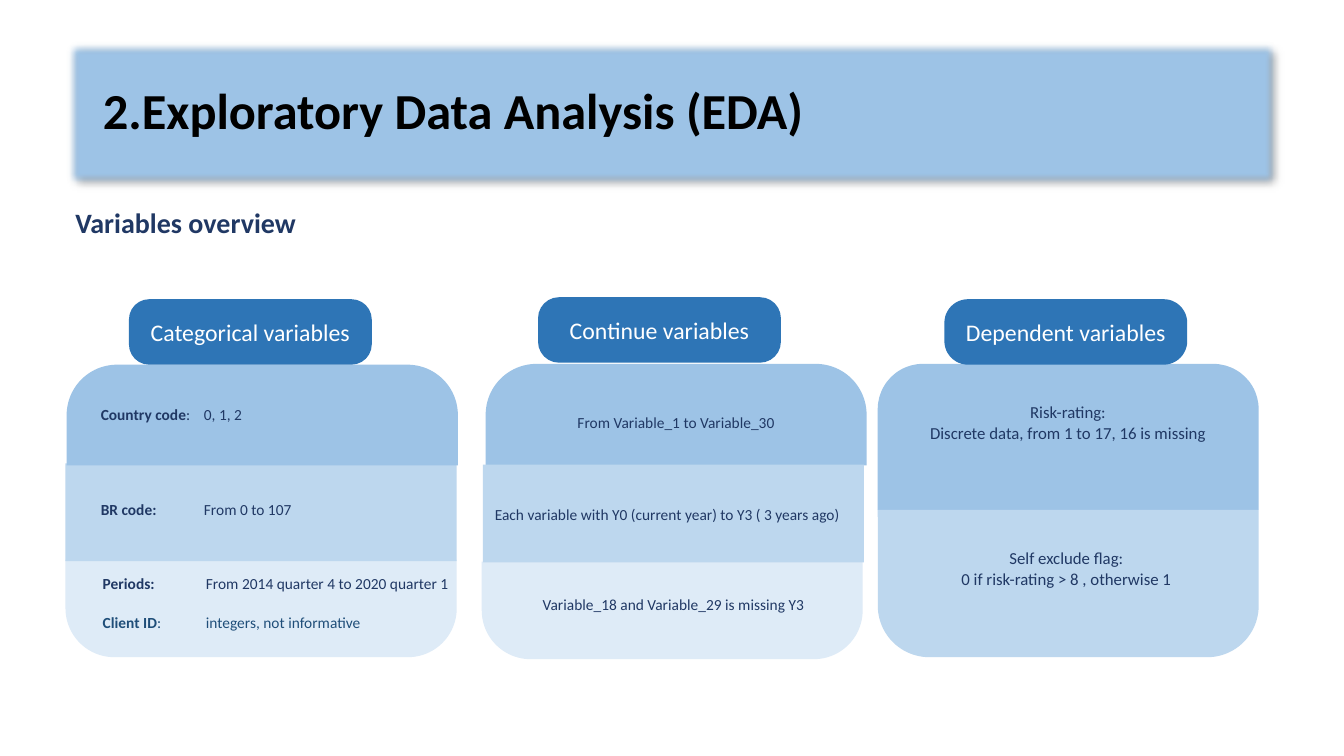
from lxml import etree
from pptx import Presentation
from pptx.dml.color import RGBColor
from pptx.enum.shapes import MSO_SHAPE
from pptx.enum.text import MSO_ANCHOR, MSO_AUTO_SIZE, PP_ALIGN
from pptx.oxml import parse_xml
from pptx.util import Cm, Pt

COLORS = {"dark": "2E75B6", "strong": "9DC3E6", "medium": "BDD7EE", "light": "DEEBF7",
          "navy": "203864", "teal": "1F4E79", "white": "FFFFFF", "black": "000000"}
NS = "http://schemas.openxmlformats.org/drawingml/2006/main"


def add_block(kind, box, color, adjustments=(), rotation=0):
    """Add a plain filled shape; box is left, top, width, height in cm."""
    sp = s.shapes.add_shape(kind, *map(Cm, box))
    sp.shadow.inherit = False
    sp.fill.solid()
    sp.fill.fore_color.rgb = RGBColor.from_string(COLORS[color])
    sp.line.fill.background()
    sp.rotation = rotation
    for i, value in enumerate(adjustments):
        sp.adjustments[i] = value
    return sp


def write(tf, lines, size, color, align=PP_ALIGN.LEFT):
    """Fill a text frame; each line is a list of (text, bold) runs."""
    tf.word_wrap = True
    for i, runs in enumerate(lines):
        p = tf.add_paragraph() if i else tf.paragraphs[0]
        p.alignment = align
        for text, bold in runs:
            r = p.add_run()
            r.text = text
            r.font.color.rgb = RGBColor.from_string(COLORS[color])
            for name, value in {"name": "Calibri", "size": Pt(size), "bold": bold}.items():
                setattr(r.font, name, value)


prs = Presentation()
prs.slide_width, prs.slide_height = Cm(33.87), Cm(19.05)
s = prs.slides.add_slide(prs.slide_layouts[5])

# Title on a soft-edged banner
title = s.shapes.title
title.left, title.top, title.width, title.height = map(Cm, (2.34, 1.02, 29.21, 3.68))
tf = title.text_frame
write(tf, [[("2.Exploratory Data Analysis (EDA)", True)]], 36, "black")
tf.auto_size, tf.vertical_anchor = MSO_AUTO_SIZE.NONE, MSO_ANCHOR.MIDDLE
tf.paragraphs[0].line_spacing = 0.9

banner = add_block(MSO_SHAPE.RECTANGLE, (1.65, 1.02, 30.56, 3.68), "strong")
title._element.addprevious(banner._element)
effects = banner._element.spPr.find(f"{{{NS}}}effectLst")
effects.append(parse_xml(
    f'<a:outerShdw xmlns:a="{NS}" blurRad="50800" dist="38100" dir="2700000" algn="tl" '
    'rotWithShape="0"><a:srgbClr val="000000"><a:alpha val="40000"/></a:srgbClr></a:outerShdw>'))
etree.SubElement(effects, f"{{{NS}}}softEdge", rad="63500")

# Stacked panels: rounded caps at top and bottom, square bands between
CAP, BAND = MSO_SHAPE.ROUND_2_SAME_RECTANGLE, MSO_SHAPE.RECTANGLE
panels = [
    (CAP, (1.65, 14.1, 9.86, 2.46), "light", (0.5, 0), 180),
    (BAND, (1.65, 11.68, 9.86, 2.46), "medium"),
    (CAP, (1.68, 9.19, 9.86, 2.54), "strong", (0.5, 0)),
    (CAP, (12.14, 14.15, 9.6, 2.46), "light", (0.5, 0), 180),
    (CAP, (22.12, 9.17, 9.6, 3.68), "strong", (0.31, 0)),
    (CAP, (22.12, 12.85, 9.6, 3.71), "medium", (0.35, 0), 180),
]
for panel in panels:
    add_block(*panel)
range_panel = add_block(CAP, (12.24, 9.17, 9.6, 2.56), "strong", (0.5, 0))
range_panel.text_frame.vertical_anchor = MSO_ANCHOR.MIDDLE
write(range_panel.text_frame, [[("From Variable_1 to Variable_30", False)]],
      11, "navy", PP_ALIGN.CENTER)
add_block(BAND, (12.17, 11.71, 9.6, 2.46), "medium")

# Column headers
headers = [("Categorical variables", 3.25, 7.54, 0.31),
           ("Continue variables", 13.56, 7.49, 0.32),
           ("Dependent variables", 23.8, 7.54, 0.36)]
for text, left, top, corner in headers:
    sp = add_block(MSO_SHAPE.ROUNDED_RECTANGLE, (left, top, 6.12, 1.65), "dark", (corner,))
    sp.text_frame.vertical_anchor = MSO_ANCHOR.MIDDLE
    write(sp.text_frame, [[(text, False)]], 17, "white", PP_ALIGN.CENTER)

# Text over the panels
LEFT, CENTER = PP_ALIGN.LEFT, PP_ALIGN.CENTER
notes = [
    ((1.65, 5.05, 6.6, 1.12), [[("Variables overview", True)]], 20, "navy", LEFT),
    ((2.29, 10.08, 9.58, 0.74), [[("Country code", True), (":\t0, 1, 2", False)]],
     11, "navy", LEFT),
    ((2.29, 12.47, 9.12, 0.74), [[("BR code:", True), ("\tFrom 0 to 107", False)]],
     11, "navy", LEFT),
    ((2.34, 14.35, 9.25, 0.74),
     [[("Periods:", True), ("\tFrom 2014 quarter 4 to 2020 quarter 1", False)]],
     11, "navy", LEFT),
    ((2.34, 15.32, 8.53, 0.74),
     [[("Client ID", True), (":\tintegers, not informative", False)]], 11, "teal", LEFT),
    ((12.62, 14.88, 8.71, 1.5), [[("Variable_18 and Variable_29 is missing Y3", False)]],
     11, "navy", CENTER),
    ((12.22, 12.6, 9.58, 1.5),
     [[("Each variable with Y0 (current year) to Y3 ( 3 years ago)", False)]],
     11, "navy", LEFT),
    ((22.71, 10.01, 8.41, 2.06),
     [[("Risk-rating:", False)], [("Discrete data, from 1 to 17, 16 is missing", False)]],
     12, "navy", CENTER),
    ((23.14, 13.69, 7.47, 2.06),
     [[("Self exclude flag:", False)], [("0 if risk-rating > 8 , otherwise 1", False)]],
     12, "navy", CENTER),
]
for box, lines, size, color, align in notes:
    tf = s.shapes.add_textbox(*map(Cm, box)).text_frame
    write(tf, lines, size, color, align)
    if any("\t" in text for text, bold in lines[0]):
        tabs = etree.SubElement(tf.paragraphs[0]._p.get_or_add_pPr(), f"{{{NS}}}tabLst")
        etree.SubElement(tabs, f"{{{NS}}}tab", pos=str(Cm(2.6)), algn="l")

prs.save("out.pptx")
